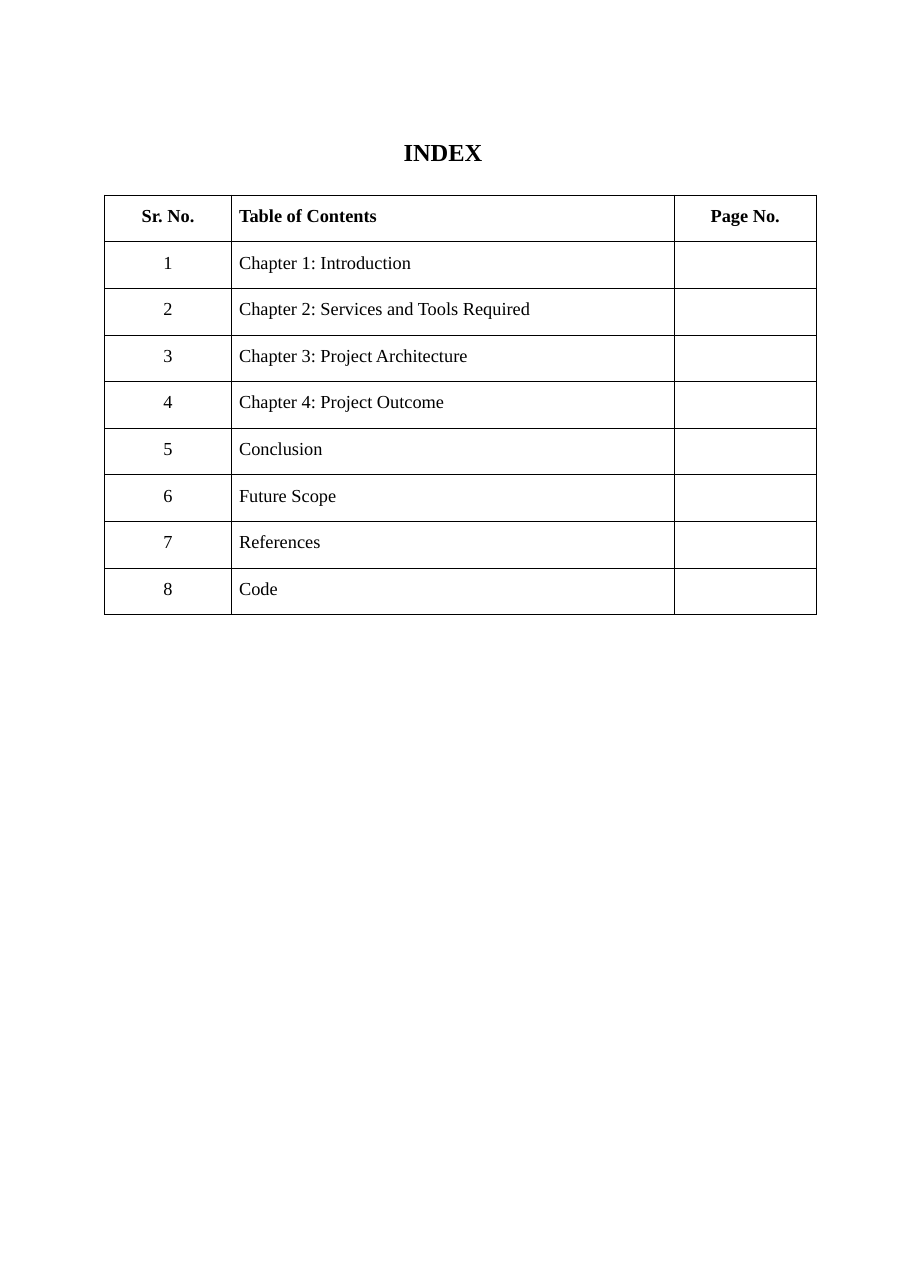
from lxml import etree
from pptx import Presentation
from pptx.dml.color import RGBColor
from pptx.enum.text import MSO_ANCHOR, MSO_AUTO_SIZE, PP_ALIGN
from pptx.oxml.ns import qn
from pptx.util import Inches, Pt

LEFT, CENTER = PP_ALIGN.LEFT, PP_ALIGN.CENTER
TOP = MSO_ANCHOR.TOP
NO_FIT = MSO_AUTO_SIZE.NONE

COLORS = {"ink": "000000", "paper": "FFFFFF"}
FONT = "Times New Roman"
PAGE_WIDTH, PAGE_HEIGHT = Inches(8.26), Inches(11.69)
TITLE_ONLY = 5

TABLE_LEFT, TABLE_TOP, TABLE_HEIGHT = Inches(0.95), Inches(1.77), Inches(3.81)
COLUMNS = [
    # heading, width in inches, alignment, left margin in inches
    ("Sr. No.", 1.15, CENTER, 0),
    ("Table of Contents", 4.02, LEFT, 0.07),
    ("Page No.", 1.29, CENTER, 0),
]
ENTRIES = [
    "Chapter 1: Introduction",
    "Chapter 2: Services and Tools Required",
    "Chapter 3: Project Architecture",
    "Chapter 4: Project Outcome",
    "Conclusion",
    "Future Scope",
    "References",
    "Code",
]


def write_text(frame, text, size=12, bold=False, align=LEFT):
    para = frame.paragraphs[0]
    para.alignment = align
    span = para.add_run()
    span.text = text
    span.font.name = FONT
    span.font.size = Pt(size)
    span.font.bold = bold
    span.font.color.rgb = RGBColor.from_string(COLORS["ink"])


def set_margins(target, left=0, top=0):
    target.margin_left, target.margin_top = Inches(left), Inches(top)
    target.margin_right = target.margin_bottom = 0


def add_borders(cell, width=0.5):
    """Rule all four sides; borders must precede the fill in the cell XML."""
    properties = cell._tc.get_or_add_tcPr()
    for position, side in enumerate(("a:lnL", "a:lnR", "a:lnT", "a:lnB")):
        line = etree.Element(qn(side), w=str(Pt(width)))
        fill = etree.SubElement(line, qn("a:solidFill"))
        etree.SubElement(fill, qn("a:srgbClr"), val=COLORS["ink"])
        properties.insert(position, line)


def add_title(page, text):
    title = page.shapes.title
    title.left, title.top = Inches(3.65), Inches(1.23)
    title.width, title.height = Inches(0.74), Inches(0.29)
    frame = title.text_frame
    frame.auto_size = NO_FIT
    frame.word_wrap = False
    frame.vertical_anchor = TOP
    set_margins(frame, top=0.01)
    write_text(frame, text, size=16, bold=True, align=CENTER)


def add_index_table(page, rows):
    width = Inches(sum(column[1] for column in COLUMNS))
    table = page.shapes.add_table(
        len(rows), len(COLUMNS), TABLE_LEFT, TABLE_TOP, width, TABLE_HEIGHT
    ).table
    table.horz_banding = False
    for column, (_, column_width, _, _) in zip(table.columns, COLUMNS):
        column.width = Inches(column_width)
    for row_number, texts in enumerate(rows):
        for column_number, text in enumerate(texts):
            _, _, align, margin = COLUMNS[column_number]
            cell = table.cell(row_number, column_number)
            cell.fill.solid()
            cell.fill.fore_color.rgb = RGBColor.from_string(COLORS["paper"])
            cell.vertical_anchor = TOP
            set_margins(cell, left=margin, top=0.1)
            add_borders(cell)
            if text:
                write_text(cell.text_frame, text, bold=row_number == 0, align=align)


def main():
    deck = Presentation()
    deck.slide_width, deck.slide_height = PAGE_WIDTH, PAGE_HEIGHT
    page = deck.slides.add_slide(deck.slide_layouts[TITLE_ONLY])
    add_title(page, "INDEX")
    headings = [column[0] for column in COLUMNS]
    body = [(str(number), entry, "") for number, entry in enumerate(ENTRIES, 1)]
    add_index_table(page, [headings, *body])
    deck.save("out.pptx")


if __name__ == "__main__":
    main()
